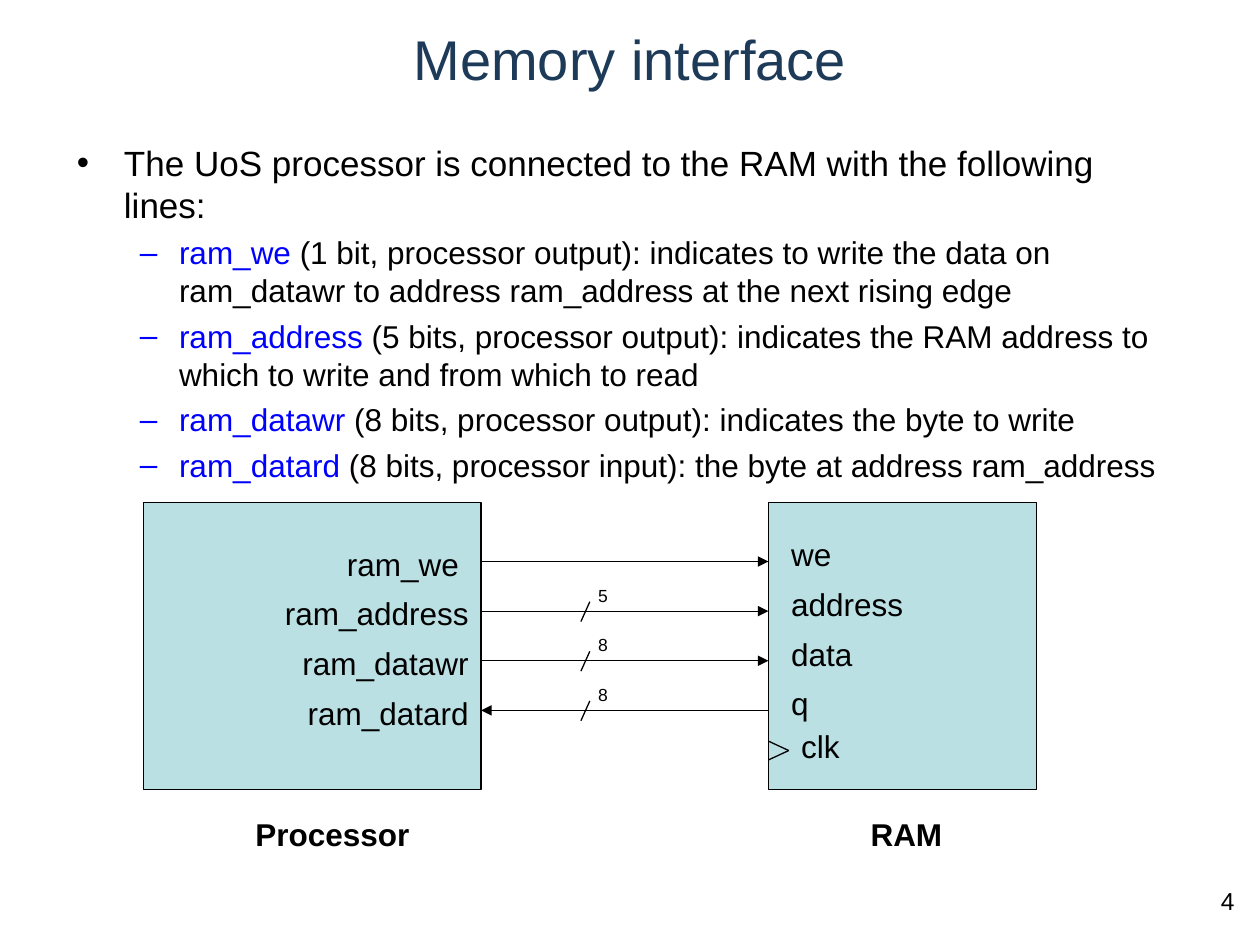
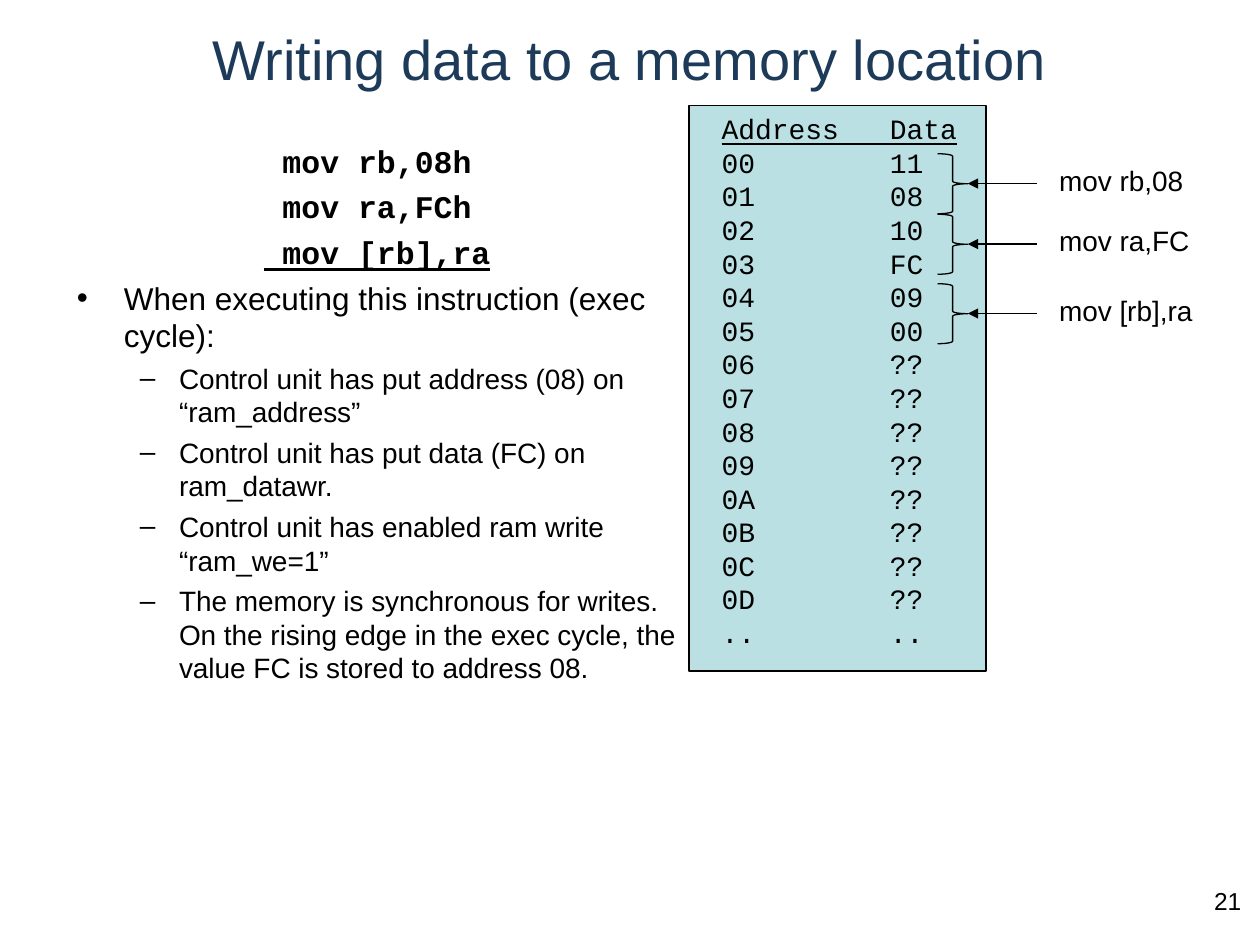
"""Build two slides on a processor's memory interface and a memory write."""
from lxml import etree
from pptx import Presentation
from pptx.dml.color import RGBColor
from pptx.enum.shapes import MSO_CONNECTOR, MSO_SHAPE
from pptx.enum.text import MSO_ANCHOR, MSO_AUTO_SIZE, PP_ALIGN
from pptx.oxml.ns import qn
from pptx.util import Cm, Pt

LEFT, MID, RIGHT = PP_ALIGN.LEFT, PP_ALIGN.CENTER, PP_ALIGN.RIGHT
TOP, CENTRE = MSO_ANCHOR.TOP, MSO_ANCHOR.MIDDLE
FIXED = MSO_AUTO_SIZE.NONE
RECT, BRACE = MSO_SHAPE.RECTANGLE, MSO_SHAPE.RIGHT_BRACE
LINE = MSO_CONNECTOR.STRAIGHT

NAVY, BLACK, BLUE, TEAL = "1D3B59", "000000", "0000FF", "BBE0E3"
SANS, MONO = "Arial", "Courier New"
THIN = 0.75

INTRO = "The UoS processor is connected to the RAM with the following lines:"
SIGNALS = [
    ("ram_we", " (1 bit, processor output): indicates to write the data on "
     "ram_datawr to address ram_address at the next rising edge"),
    ("ram_address", " (5 bits, processor output): indicates the RAM address to "
     "which to write and from which to read"),
    ("ram_datawr", " (8 bits, processor output): indicates the byte to write"),
    ("ram_datard", " (8 bits, processor input): the byte at address ram_address"),
]
# name, right edge, RAM pin, bus width, goes into the processor
WIRES = [
    ("ram_we", 9.5, "we", "", False),
    ("ram_address", 9.7, "address", "5", False),
    ("ram_datawr", 9.7, "data", "8", False),
    ("ram_datard", 9.7, "q", "8", True),
]
CODE = ["mov rb,08h", "mov ra,FCh", " mov [rb],ra"]
LEAD = "When executing this instruction (exec cycle):"
STEPS = [
    "Control unit has put address (08) on “ram_address”",
    "Control unit has put data (FC) on ram_datawr.",
    "Control unit has enabled ram write “ram_we=1”",
    "The memory is synchronous for writes. On the rising edge in the exec "
    "cycle, the value FC is stored to address 08.",
]
BYTES = ["11", "08", "10", "FC", "09", "00"] + ["??"] * 8
GROUPS = [("mov rb,08", 3.1), ("mov ra,FC", 4.32), ("mov [rb],ra", 5.72)]


def paint(value):
    return RGBColor.from_string(value)


def style(para, size, color=BLACK, font=SANS, bold=False, under=False):
    for run in para.runs:
        face = run.font
        face.size, face.name = Pt(size), font
        face.bold, face.underline = bold, under
        face.color.rgb = paint(color)


def label(slide, text, x, y, wide, high, size=18, align=LEFT, bold=False):
    frame = slide.shapes.add_textbox(Cm(x), Cm(y), Cm(wide), Cm(high)).text_frame
    frame.word_wrap = True
    frame.text = text
    para = frame.paragraphs[0]
    para.alignment = align
    style(para, size, bold=bold)


def start(deck, text, number):
    slide = deck.slides.add_slide(deck.slide_layouts[5])
    title = slide.shapes.title
    title.left, title.top, title.width, title.height = Cm(1.5), Cm(0.3), Cm(22.4), Cm(1.75)
    frame = title.text_frame
    frame.text = text
    frame.auto_size, frame.vertical_anchor = FIXED, CENTRE
    para = frame.paragraphs[0]
    para.alignment = MID
    style(para, 32, NAVY)
    label(slide, number, 24.1, 17.73, 1.3, 1.32, 14, MID)
    return slide


def body(slide, wide):
    box = slide.shapes.add_textbox(Cm(1.3), Cm(2.73), Cm(wide), Cm(14.3))
    box.text_frame.word_wrap = True
    return box.text_frame


def added(frame, text, size):
    """Return a new paragraph, spaced by its size unless it comes first."""
    para = frame.paragraphs[0]
    if para.runs:
        para = frame.add_paragraph()
        para.space_before = Pt(size / 4)
    para.text = text
    return para


def bullet(frame, text, size, level=0, color=BLACK):
    para = added(frame, text, size)
    mark, left, hang = [("•", 0.95, 0.95), ("–", 2.06, 0.79)][level]
    props = para._p.get_or_add_pPr()
    props.set("marL", str(Cm(left)))
    props.set("indent", str(-Cm(hang)))
    tint = etree.SubElement(props, qn("a:buClr"))
    etree.SubElement(tint, qn("a:srgbClr"), val=color)
    etree.SubElement(props, qn("a:buFont"), typeface=SANS)
    etree.SubElement(props, qn("a:buChar"), char=mark)
    para.level = level
    style(para, size)
    return para


def shape(slide, kind, x, y, wide, high, fill=None):
    item = slide.shapes.add_shape(kind, Cm(x), Cm(y), Cm(wide), Cm(high))
    item.shadow.inherit = False
    if fill:
        item.fill.solid()
        item.fill.fore_color.rgb = paint(fill)
    else:
        item.fill.background()
    item.line.color.rgb = paint(BLACK)
    item.line.width = Pt(THIN)
    return item


def line(slide, x1, y1, x2, y2, arrow=False):
    item = slide.shapes.add_connector(LINE, Cm(x1), Cm(y1), Cm(x2), Cm(y2))
    item.line.color.rgb = paint(BLACK)
    item.line.width = Pt(THIN)
    if arrow:
        etree.SubElement(item.line._get_or_add_ln(), qn("a:tailEnd"), type="triangle")
    etree.SubElement(item._element.spPr, qn("a:effectLst"))


def wiring(deck):
    slide = start(deck, "Memory interface", "4")
    frame = body(slide, 22.86)
    bullet(frame, INTRO, 20)
    for name, text in SIGNALS:
        para = bullet(frame, name, 18, 1, BLUE)
        para.add_run().text = text
        style(para, 18)
        para.runs[0].font.color.rgb = paint(BLUE)

    cpu, ram = 9.7, 15.49
    shape(slide, RECT, 2.9, 10.13, cpu - 2.9, 5.79, TEAL)
    shape(slide, RECT, ram, 10.13, 5.41, 5.79, TEAL)
    for text, x in [("Processor", 4.9), ("RAM", 17.3)]:
        label(slide, text, x, 16.31, 4.5, 1.02, bold=True)

    for row, (name, edge, pin, bits, inward) in enumerate(WIRES):
        y = 11.32 + row
        ends = (ram, cpu) if inward else (cpu, ram)
        line(slide, ends[0], y, ends[1], y, True)
        label(slide, name, 5.3, y - 0.46, edge - 5.3, 1.02, align=RIGHT)
        label(slide, pin, 15.7, y - 0.65, 4.4, 1.02)
        if bits:
            line(slide, 11.89, y - 0.19, 11.71, y + 0.21)
            label(slide, bits, 11.81, y - 0.66, 1, 0.69, 10)

    for y in (14.94, 15.32):
        line(slide, ram, y, 15.9, 15.13)
    label(slide, "clk", 15.9, 14.53, 4.4, 1.02)


def dump(slide):
    """Draw the memory contents as two tabbed columns in a panel."""
    frame = shape(slide, RECT, 13.89, 2.13, 5.99, 11.4, TEAL).text_frame
    frame.vertical_anchor, frame.margin_left = TOP, Cm(0.66)
    rows = [("Address", "Data")]
    rows += [(f"{place:02X}", value) for place, value in enumerate(BYTES)]
    rows.append(("..", ".."))
    frame.text = "\n".join("\t".join(row) for row in rows)
    for index, para in enumerate(frame.paragraphs):
        para.alignment = LEFT
        stops = etree.SubElement(para._p.get_or_add_pPr(), qn("a:tabLst"))
        etree.SubElement(stops, qn("a:tab"), pos=str(Cm(3.39)), algn="l")
        style(para, 16, font=MONO, under=index == 0)
    line(slide, 16.91, 2.9, 17.94, 2.9)


def writing(deck):
    slide = start(deck, "Writing data to a memory location", "21")
    frame = body(slide, 12.6)
    for text in CODE:
        para = added(frame, text, 18)
        para.alignment = MID
        style(para, 18, font=MONO, bold=True, under=text == CODE[-1])
    bullet(frame, LEAD, 18)
    for text in STEPS:
        bullet(frame, text, 16, 1)

    dump(slide)
    for text, y in GROUPS:
        shape(slide, BRACE, 18.9, y, 0.61, 1.21)
        line(slide, 20.9, y + 0.6, 19.51, y + 0.6, True)
        label(slide, text, 21.1, y + 0.07, 4, 0.94, 16)


def main():
    deck = Presentation()
    deck.slide_width, deck.slide_height = Cm(25.4), Cm(19.05)
    wiring(deck)
    writing(deck)
    deck.save("out.pptx")


if __name__ == "__main__":
    main()
